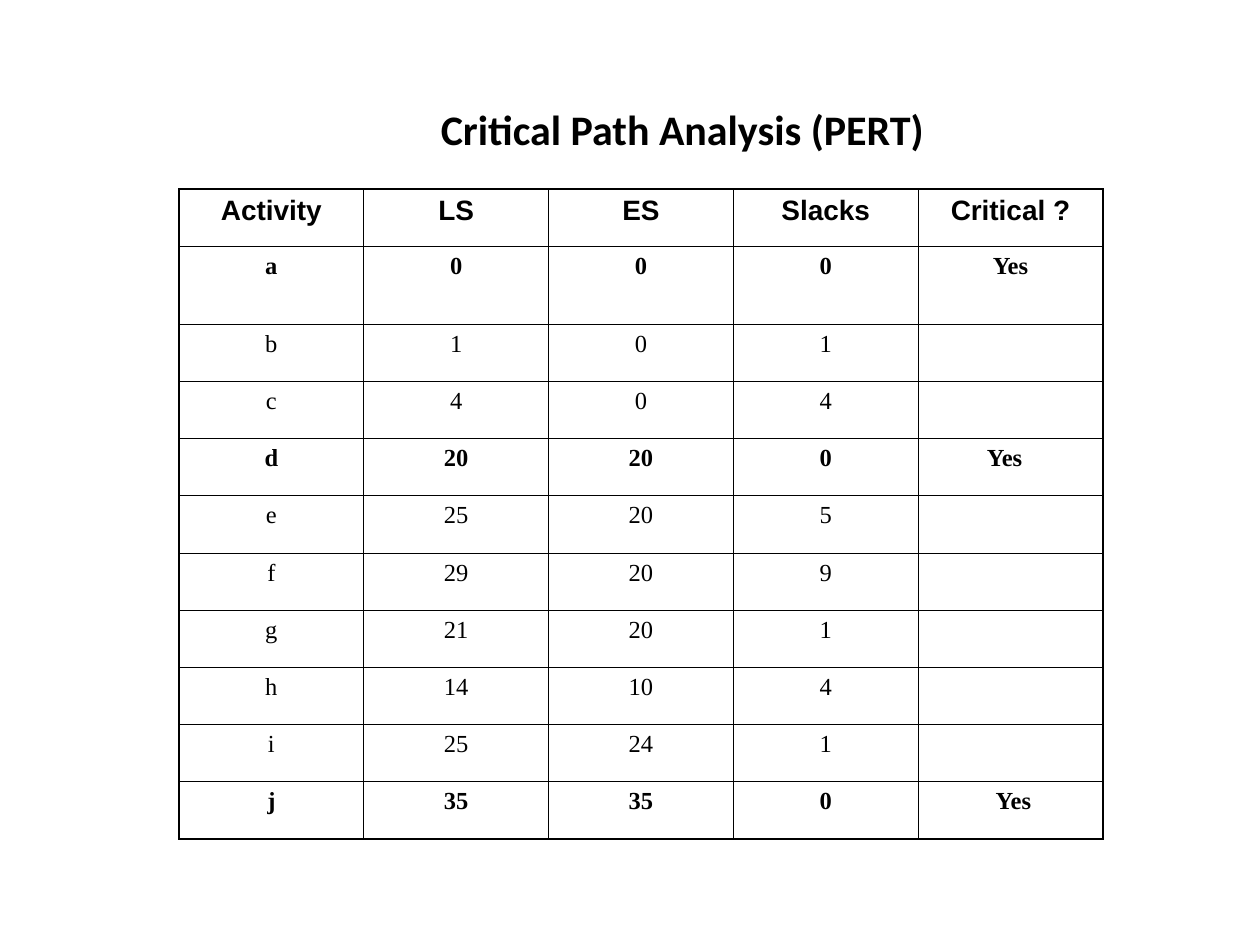
import pptx
import pptx.dml.color
import pptx.enum.text
import pptx.oxml
import pptx.oxml.ns
import pptx.util

# Content
HEADING = "Critical Path Analysis (PERT)"
HEADERS = ("Activity", "LS", "ES", "Slacks", "Critical ?")
ACTIVITIES = [
    ("a", 0, 0, 0, "Yes"),
    ("b", 1, 0, 1, ""),
    ("c", 4, 0, 4, ""),
    ("d", 20, 20, 0, "Yes"),
    ("e", 25, 20, 5, ""),
    ("f", 29, 20, 9, ""),
    ("g", 21, 20, 1, ""),
    ("h", 14, 10, 4, ""),
    ("i", 25, 24, 1, ""),
    ("j", 35, 35, 0, "Yes"),
]

# Layout in px
SLIDE_W, SLIDE_H = 1260, 945
TITLE_BOX = (147, 84, 1071, 95)
GRID_LEFT, GRID_TOP, GRID_W, GRID_H = 179, 189, 924, 650
TALL_ROW, TALL_ROW_H = 1, 78
# Extra (left, right) cell margins that shift a "Yes" off centre
YES_SHIFT = {"d": (0, 12), "j": (6, 0)}

BLACK = pptx.dml.color.RGBColor(0, 0, 0)
THIN, THICK = 0.45, 1.08
CENTER = pptx.enum.text.PP_ALIGN.CENTER


def px(length):
    return pptx.util.Emu(round(length * 914400 / 126))


def style(paragraph, font_name, size, bold):
    paragraph.alignment = CENTER
    paragraph.font.name = font_name
    paragraph.font.size = pptx.util.Pt(size)
    paragraph.font.bold = bold
    paragraph.font.color.rgb = BLACK


def set_borders(cell, widths):
    properties = cell._tc.get_or_add_tcPr()
    for side, width in widths.items():
        properties.append(pptx.oxml.parse_xml(
            f'<a:ln{side} {pptx.oxml.ns.nsdecls("a")} w="{pptx.util.Pt(width)}">'
            f'<a:solidFill><a:srgbClr val="{BLACK}"/></a:solidFill></a:ln{side}>'))


deck = pptx.Presentation()
deck.slide_width, deck.slide_height = px(SLIDE_W), px(SLIDE_H)
slide = deck.slides.add_slide(deck.slide_layouts[5])

# Title
title = slide.shapes.title
title.left, title.top, title.width, title.height = map(px, TITLE_BOX)
title.text_frame.text = HEADING
title.text_frame.vertical_anchor = pptx.enum.text.MSO_ANCHOR.MIDDLE
title.text_frame.paragraphs[0].line_spacing = 0.9
style(title.text_frame.paragraphs[0], "Calibri", 24, True)

# Activity table
rows = [HEADERS] + ACTIVITIES
last_row, last_col = len(rows) - 1, len(HEADERS) - 1
schedule = slide.shapes.add_table(
    len(rows), len(HEADERS),
    px(GRID_LEFT), px(GRID_TOP), px(GRID_W), px(GRID_H)).table
schedule.first_row = schedule.horz_banding = False
for column in schedule.columns:
    column.width = px(GRID_W / len(HEADERS))
for r, row in enumerate(schedule.rows):
    row.height = px(TALL_ROW_H if r == TALL_ROW
                    else (GRID_H - TALL_ROW_H) / last_row)

# Cells: critical activities are bold, the outer frame is thicker
for r, values in enumerate(rows):
    is_header = r == 0
    bold = is_header or values[-1] == "Yes"
    for c, value in enumerate(values):
        cell = schedule.cell(r, c)
        cell.text = str(value)
        paragraph = cell.text_frame.paragraphs[0]
        paragraph.space_before = pptx.util.Pt(4 if is_header else 3.5)
        if is_header:
            style(paragraph, "Arial", 16, bold)
        else:
            style(paragraph, "Times New Roman", 14, bold)
        if c == last_col and values[0] in YES_SHIFT:
            extra_left, extra_right = YES_SHIFT[values[0]]
            cell.margin_left += px(extra_left)
            cell.margin_right += px(extra_right)
        set_borders(cell, {
            "L": THICK if c == 0 else THIN,
            "R": THICK if c == last_col else THIN,
            "T": THICK if r == 0 else THIN,
            "B": THICK if r == last_row else THIN,
        })
        cell.fill.background()

deck.save("out.pptx")
